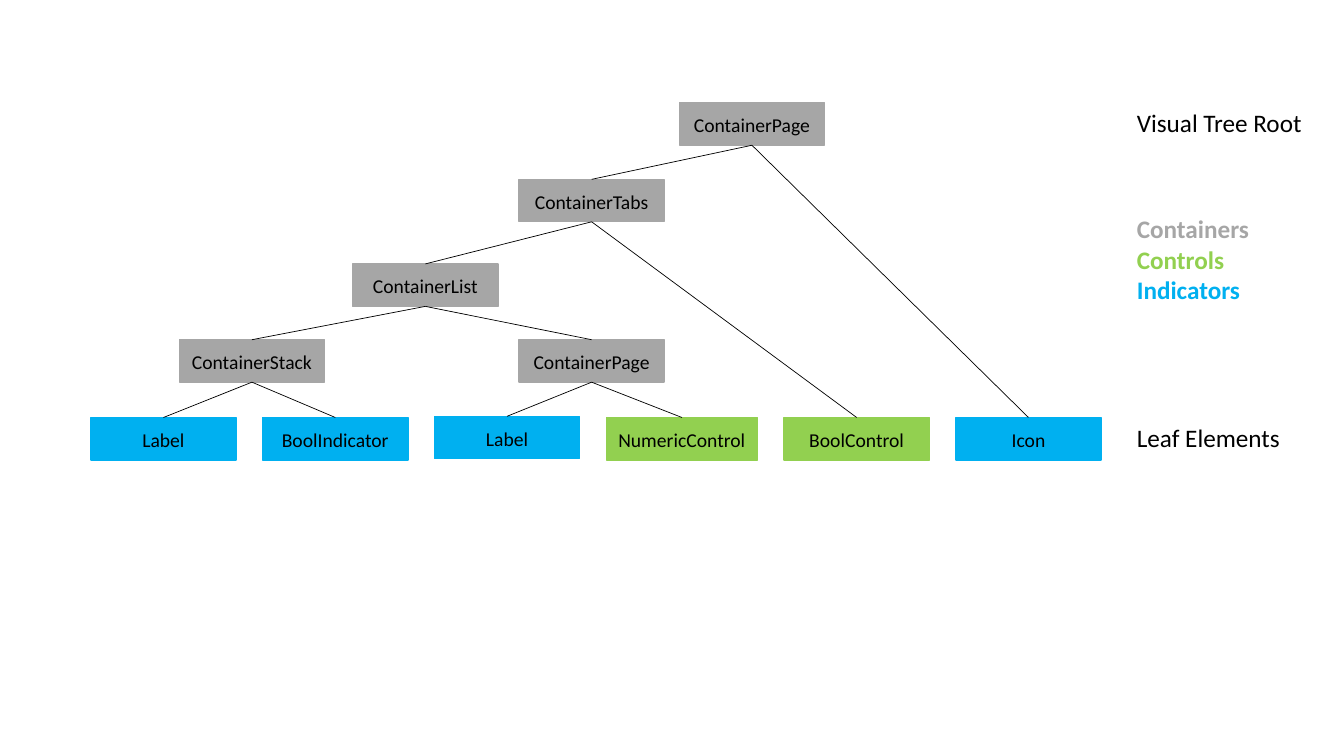
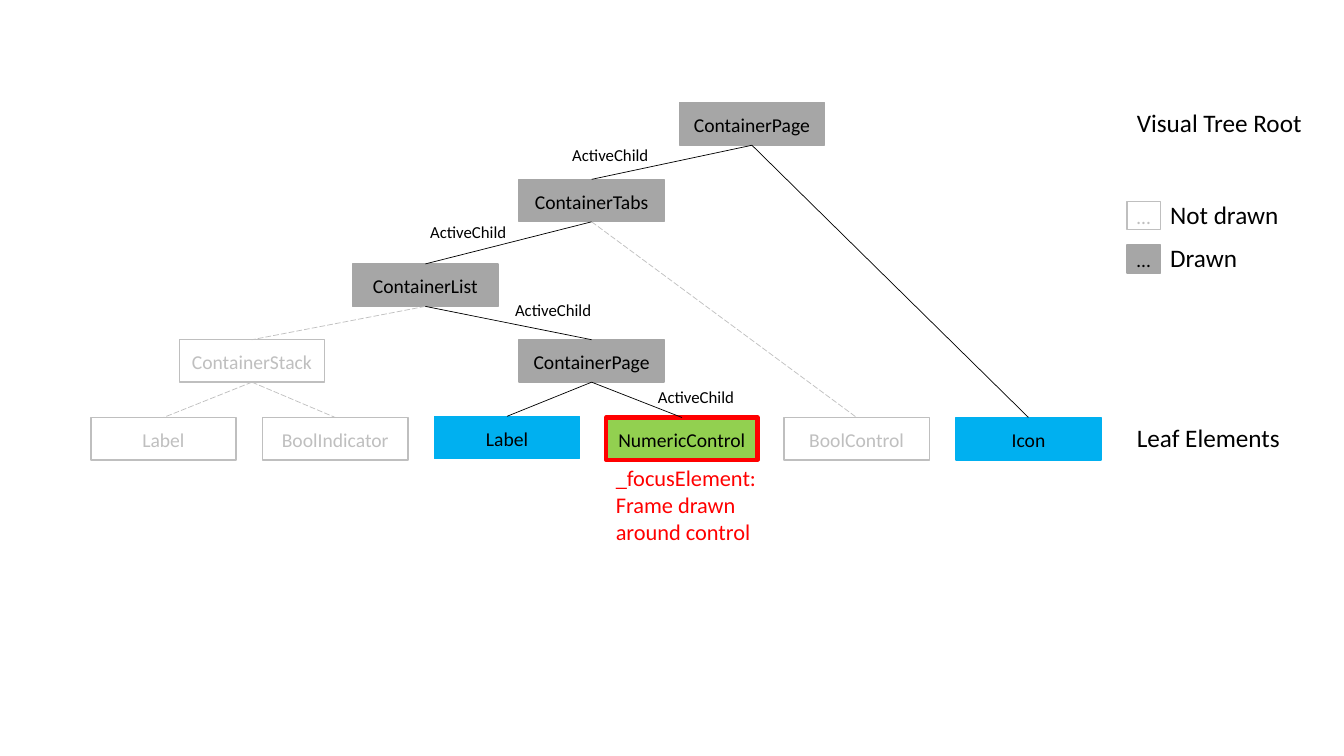
from lxml import etree
from pptx import Presentation
from pptx.dml.color import RGBColor
from pptx.enum import dml, shapes, text
from pptx.oxml.ns import qn
from pptx.util import Cm, Pt

BLACK = RGBColor(0x00, 0x00, 0x00)
WHITE = RGBColor(0xFF, 0xFF, 0xFF)
PALE = RGBColor(0xBF, 0xBF, 0xBF)
RED = RGBColor(0xFF, 0x00, 0x00)
CONTAINER = RGBColor(0xA6, 0xA6, 0xA6)
CONTROL = RGBColor(0x92, 0xD0, 0x50)
INDICATOR = RGBColor(0x00, 0xB0, 0xF0)

NODE_W, WIDE_W, NODE_H = 3.66, 3.81, 1.07
LEAF_TOP, LEAF_GAP = 10.52, 0.67
SIDE_LEFT, KEY_W, KEY_H = 28.4, 0.84, 0.71

# key: (label, left, top)
CONTAINERS = {
    "root": ("ContainerPage", 17.12, 2.59),
    "tabs": ("ContainerTabs", 13.08, 4.52),
    "list": ("ContainerList", 8.89, 6.65),
    "stack": ("ContainerStack", 4.52, 8.56),
    "page": ("ContainerPage", 13.08, 8.56),
}
# key: (label, colour, width, top), from left to right
LEAVES = {
    "stack label": ("Label", INDICATOR, NODE_W, LEAF_TOP),
    "bool indicator": ("BoolIndicator", INDICATOR, NODE_W, LEAF_TOP),
    "page label": ("Label", INDICATOR, NODE_W, LEAF_TOP - 0.03),
    "numeric": ("NumericControl", CONTROL, WIDE_W, LEAF_TOP),
    "bool control": ("BoolControl", CONTROL, NODE_W, LEAF_TOP),
    "icon": ("Icon", INDICATOR, NODE_W, LEAF_TOP),
}
CHILDREN = {
    "root": ("tabs", "icon"),
    "tabs": ("list", "bool control"),
    "list": ("stack", "page"),
    "stack": ("stack label", "bool indicator"),
    "page": ("page label", "numeric"),
}
NOT_DRAWN = {"stack", "stack label", "bool indicator", "bool control"}
ACTIVE_CHILD_AT = ((14.17, 3.53), (10.59, 5.46), (12.73, 7.42), (16.33, 9.63))


class Deck:
    """Holds the presentation, its text style and the current slide."""

    def __init__(self):
        self.prs = Presentation()
        self.prs.slide_width, self.prs.slide_height = Cm(33.87), Cm(19.05)
        self.s = None

    def new_slide(self):
        self.s = self.prs.slides.add_slide(self.prs.slide_layouts[6])

    def styled_run(self, p, words, color, **fmt):
        r = p.add_run()
        r.text = words
        r.font.color.rgb = color
        for name, value in {"name": "Calibri", **fmt}.items():
            setattr(r.font, name, value)

    def box(self, words, left, top, width, height, fill, drawn=True, frame=None):
        """Add a labelled box; one that is not drawn is a pale outline."""
        sp = self.s.shapes.add_shape(shapes.MSO_SHAPE.RECTANGLE,
                                     Cm(left), Cm(top), Cm(width), Cm(height))
        sp.shadow.inherit = False
        sp.fill.solid()
        sp.fill.fore_color.rgb = fill if drawn else WHITE
        sp.line.color.rgb = frame or (fill if drawn else PALE)
        sp.line.width = Pt(3 if frame else 1)
        tf = sp.text_frame
        tf.vertical_anchor = text.MSO_ANCHOR.MIDDLE
        p = tf.paragraphs[0]
        style = {"alignment": text.PP_ALIGN.CENTER, "line_spacing": 1.07,
                 "space_after": Pt(8)}
        for name, value in style.items():
            setattr(p, name, value)
        self.styled_run(p, words, BLACK if drawn else PALE, size=Pt(14))
        return sp

    def link(self, parent, child, drawn=True):
        cn = self.s.shapes.add_connector(shapes.MSO_CONNECTOR.STRAIGHT, 0, 0, 0, 0)
        cn.begin_connect(parent, 2)
        cn.end_connect(child, 0)
        cn.line.color.rgb = BLACK if drawn else PALE
        cn.line.width = Pt(0.5)
        if not drawn:
            cn.line.dash_style = dml.MSO_LINE.LONG_DASH
        etree.SubElement(cn._element.spPr, qn("a:effectLst"))

    def note(self, lines, left, top, width, height, size=18, wrap=False, bold=None):
        """Add a text box with one paragraph per (words, colour) pair."""
        tf = self.s.shapes.add_textbox(Cm(left), Cm(top), Cm(width), Cm(height)).text_frame
        tf.word_wrap = wrap
        tf.auto_size = text.MSO_AUTO_SIZE.SHAPE_TO_FIT_TEXT
        for i, (words, color) in enumerate(lines):
            p = tf.add_paragraph() if i else tf.paragraphs[0]
            self.styled_run(p, words, color, size=Pt(size), bold=bold)

    def tree(self, not_drawn=(), focus=None):
        """Add the visual tree, its links and the two level names."""
        nodes = {}
        for key, (label, left, top) in CONTAINERS.items():
            nodes[key] = self.box(label, left, top, NODE_W, NODE_H, CONTAINER,
                                  key not in not_drawn)
        left = 2.29
        for key, (label, color, width, top) in LEAVES.items():
            nodes[key] = self.box(label, left, top, width, NODE_H, color,
                                  key not in not_drawn, RED if key == focus else None)
            left += width + LEAF_GAP
        for parent, children in CHILDREN.items():
            for child in children:
                self.link(nodes[parent], nodes[child], child not in not_drawn)
        self.note([("Visual Tree Root", BLACK)], SIDE_LEFT, 2.59, 4.72, 1.03)
        self.note([("Leaf Elements", BLACK)], SIDE_LEFT, LEAF_TOP, 4.17, 1.03)


def element_kinds(deck):
    deck.new_slide()
    deck.tree()
    deck.note([("Containers", CONTAINER), ("Controls", CONTROL), ("Indicators", INDICATOR)],
              SIDE_LEFT, 5.26, 4.04, 2.57, wrap=True, bold=True)


def drawn_elements(deck):
    deck.new_slide()
    deck.tree(NOT_DRAWN, focus="numeric")
    deck.note([("_focusElement: Frame drawn around control", RED)],
              15.27, 11.58, 4.09, 2.31, size=16, wrap=True)
    for left, top in ACTIVE_CHILD_AT:
        deck.note([("ActiveChild", BLACK)], left, top, 2.79, 0.76, size=12, wrap=True)
    for words, top, width, drawn in (("Not drawn", 5.08, 3.28, False),
                                     ("Drawn", 6.17, 2.21, True)):
        deck.box("…", SIDE_LEFT, top, KEY_W, KEY_H, CONTAINER, drawn)
        deck.note([(words, BLACK)], SIDE_LEFT + KEY_W, top - 0.18, width, 1.03)


def main():
    deck = Deck()
    element_kinds(deck)
    drawn_elements(deck)
    deck.prs.save("out.pptx")


if __name__ == "__main__":
    main()
